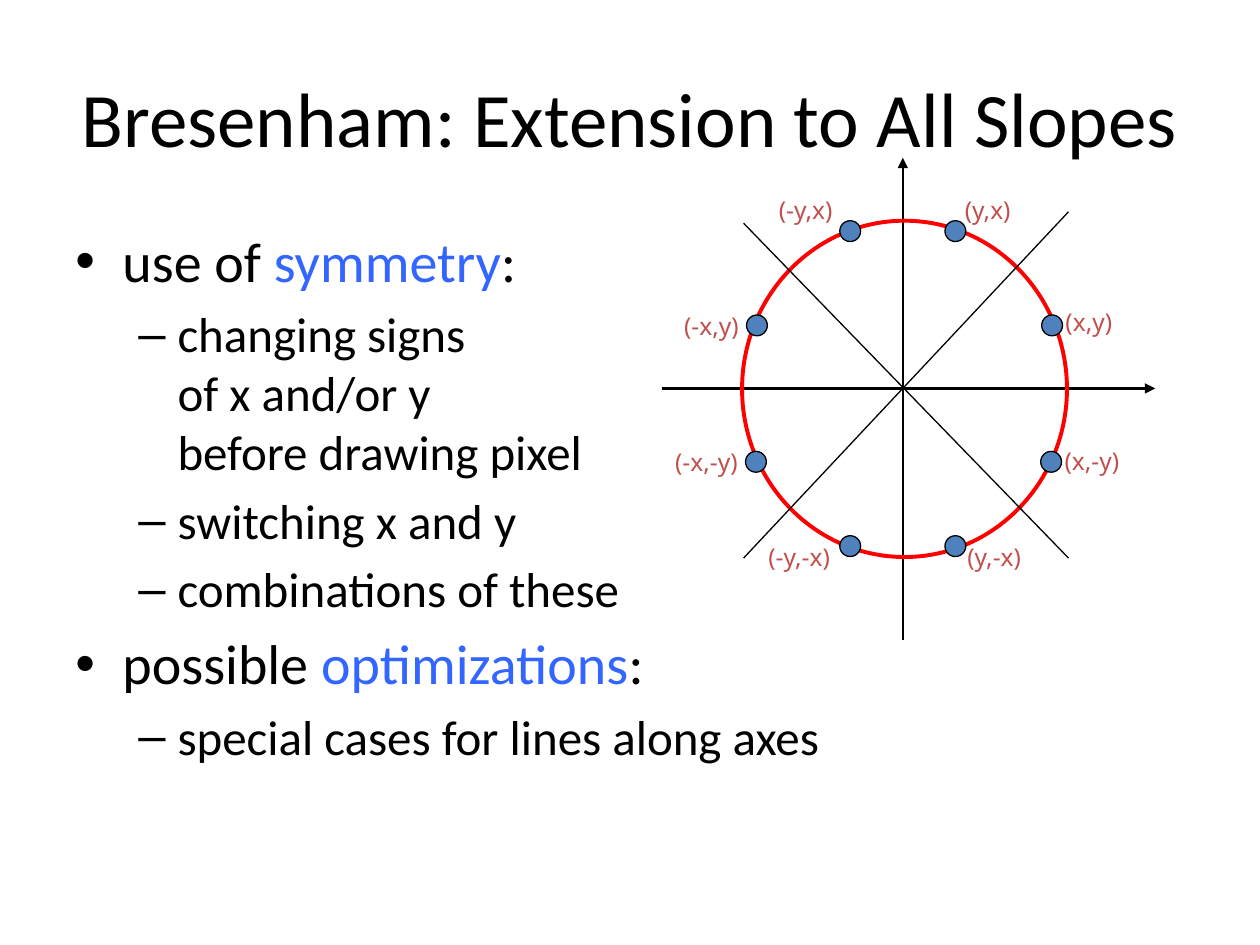
from dataclasses import dataclass

import lxml.etree
import pptx
import pptx.dml.color
import pptx.enum.shapes
import pptx.enum.text
import pptx.oxml.ns
import pptx.util

Cm = pptx.util.Cm
Pt = pptx.util.Pt
RGBColor = pptx.dml.color.RGBColor
Shape = pptx.enum.shapes.MSO_SHAPE
qn = pptx.oxml.ns.qn

BLACK = RGBColor(0x00, 0x00, 0x00)
BLUE = RGBColor(0x33, 0x66, 0xFF)
RED = RGBColor(0xFF, 0x00, 0x00)
STEEL = RGBColor(0x4F, 0x81, 0xBD)
BRICK = RGBColor(0xC0, 0x50, 0x4D)
DOT = 0.42


@dataclass
class Line:
    x1: float
    y1: float
    x2: float
    y2: float
    axis: bool = False


@dataclass
class Spot:
    text: str
    x: float
    y: float
    left: float
    top: float


@dataclass
class Item:
    level: int
    runs: list[tuple[str, RGBColor]]


@dataclass
class Style:
    size: int
    mark: str
    left: float
    hang: float


STYLES = [Style(32, "•", 0.95, 0.95), Style(28, "–", 2.06, 0.79)]
ITEMS = [
    Item(0, [("use of ", BLACK), ("symmetry", BLUE), (":", BLACK)]),
    Item(1, [("changing signs\nof x and/or y\nbefore drawing pixel", BLACK)]),
    Item(1, [("switching x and y", BLACK)]),
    Item(1, [("combinations of these", BLACK)]),
    Item(0, [("possible ", BLACK), ("optimizations", BLUE), (":", BLACK)]),
    Item(1, [("special cases for lines along axes", BLACK)]),
]
AXES = [Line(18.2, 12.9, 18.2, 3.18, True), Line(13.34, 7.83, 23.29, 7.83, True)]
SLOPES = [Line(14.99, 11.25, 21.54, 4.27), Line(14.99, 4.5, 21.54, 11.25)]
SPOTS = [
    Spot("(y,x)", 19.05, 4.45, 19.2, 3.81),
    Spot("(y,-x)", 19.05, 10.8, 19.25, 10.8),
    Spot("(-y,x)", 16.93, 4.45, 15.45, 3.81),
    Spot("(-y,-x)", 16.93, 10.8, 15.24, 10.8),
    Spot("(x,y)", 21.0, 6.35, 21.23, 6.07),
    Spot("(x,-y)", 20.98, 9.1, 21.21, 8.86),
    Spot("(-x,y)", 15.05, 6.35, 13.54, 6.14),
    Spot("(-x,-y)", 15.03, 9.1, 13.36, 8.89),
]


def add_run(para, text: str, size: int, color: RGBColor, face: str = "Calibri") -> None:
    for index, part in enumerate(text.split("\n")):
        if index:
            para.add_line_break()
        run = para.add_run()
        run.text = part
        run.font.size = Pt(size)
        run.font.name = face
        run.font.color.rgb = color


def add_item(para, item: Item) -> None:
    style = STYLES[item.level]
    para.level = item.level
    para.space_before = Pt(style.size * 0.2)
    props = para._p.get_or_add_pPr()
    props.set("marL", str(Cm(style.left)))
    props.set("indent", str(-Cm(style.hang)))
    font = lxml.etree.SubElement(props, qn("a:buFont"))
    font.set("typeface", "Arial")
    mark = lxml.etree.SubElement(props, qn("a:buChar"))
    mark.set("char", style.mark)
    for text, color in item.runs:
        add_run(para, text, style.size, color)


def add_line(shapes, line: Line) -> None:
    ends = [Cm(v) for v in (line.x1, line.y1, line.x2, line.y2)]
    link = shapes.add_connector(pptx.enum.shapes.MSO_CONNECTOR.STRAIGHT, *ends)
    link.line.color.rgb = BLACK
    link.line.width = Pt(1.5 if line.axis else 0.75)
    if line.axis:
        tip = lxml.etree.SubElement(link.line._get_or_add_ln(), qn("a:tailEnd"))
        tip.set("type", "triangle")
    lxml.etree.SubElement(link._element.spPr, qn("a:effectLst"))


def add_oval(shapes, x: float, y: float, wide: float, high: float,
             fill: RGBColor | None, edge: RGBColor, width: float) -> None:
    oval = shapes.add_shape(Shape.OVAL, Cm(x), Cm(y), Cm(wide), Cm(high))
    oval.shadow.inherit = False
    if fill is None:
        oval.fill.background()
    else:
        oval.fill.solid()
        oval.fill.fore_color.rgb = fill
    oval.line.color.rgb = edge
    oval.line.width = Pt(width)


def add_label(shapes, spot: Spot) -> None:
    wide = 0.62 + 0.18 * len(spot.text)
    box = shapes.add_textbox(Cm(spot.left), Cm(spot.top), Cm(wide), Cm(0.85))
    frame = box.text_frame
    frame.word_wrap = False
    frame.auto_size = pptx.enum.text.MSO_AUTO_SIZE.SHAPE_TO_FIT_TEXT
    add_run(frame.paragraphs[0], spot.text, 14, BRICK, "Noto Sans")


def add_title(slide) -> None:
    title = slide.shapes.title
    title.left, title.top = Cm(1.27), Cm(0.76)
    title.width, title.height = Cm(22.86), Cm(3.18)
    frame = title.text_frame
    frame.vertical_anchor = pptx.enum.text.MSO_ANCHOR.MIDDLE
    para = frame.paragraphs[0]
    para.alignment = pptx.enum.text.PP_ALIGN.CENTER
    add_run(para, "Bresenham: Extension to All Slopes", 44, BLACK)


def add_body(slide) -> None:
    box = slide.shapes.add_textbox(Cm(1.27), Cm(4.45), Cm(22.86), Cm(12.57))
    frame = box.text_frame
    frame.word_wrap = True
    for index, item in enumerate(ITEMS):
        add_item(frame.add_paragraph() if index else frame.paragraphs[0], item)


def add_graph(slide) -> None:
    shapes = slide.shapes.add_group_shape().shapes
    for line in AXES:
        add_line(shapes, line)
    add_oval(shapes, 14.96, 4.45, 6.55, 6.78, None, RED, 2.25)
    for line in SLOPES:
        add_line(shapes, line)
    for spot in SPOTS:
        add_oval(shapes, spot.x, spot.y, DOT, DOT, STEEL, BLACK, 0.75)
    for spot in SPOTS:
        add_label(shapes, spot)


def main() -> None:
    """Build the slide on the symmetry of line slopes."""
    deck = pptx.Presentation()
    deck.slide_width, deck.slide_height = Cm(25.4), Cm(19.05)
    slide = deck.slides.add_slide(deck.slide_layouts[5])
    add_title(slide)
    add_body(slide)
    add_graph(slide)
    deck.save("out.pptx")


main()
